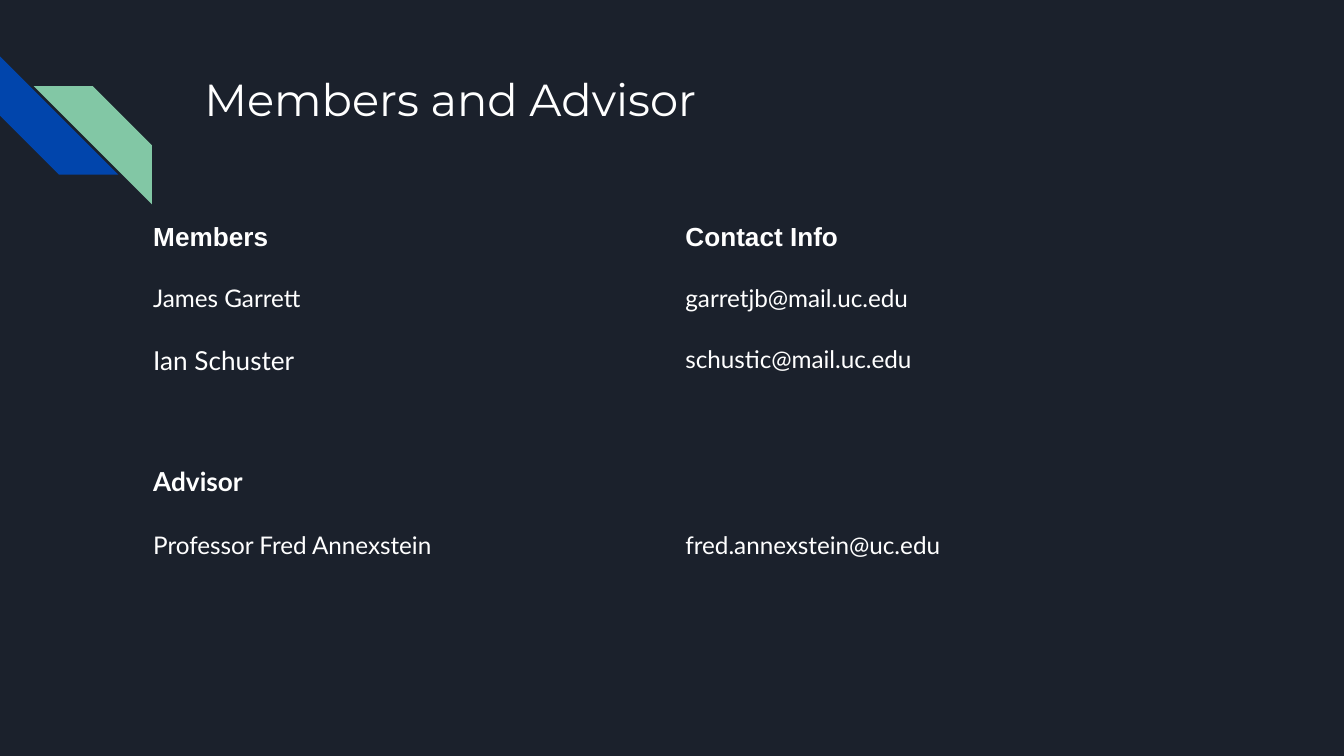
"""Build the members and advisor slide."""
from dataclasses import dataclass
from typing import Any

from pptx import Presentation
from pptx.dml.color import RGBColor
from pptx.enum.shapes import MSO_SHAPE
from pptx.enum.text import MSO_ANCHOR, MSO_AUTO_SIZE, PP_ALIGN
from pptx.oxml.ns import qn
from pptx.slide import Slide
from pptx.util import Inches, Pt


@dataclass(frozen=True)
class Theme:
    """Colours, fonts and type sizes of the slide."""

    background: RGBColor = RGBColor.from_string("1B212C")
    blue: RGBColor = RGBColor.from_string("0145AC")
    green: RGBColor = RGBColor.from_string("82C7A5")
    text: RGBColor = RGBColor.from_string("FFFFFF")
    title_font: str = "Montserrat"
    heading_font: str = "Arial"
    body_font: str = "Lato"
    title_size: Pt = Pt(24)
    large_size: Pt = Pt(14)
    body_size: Pt = Pt(13)


THEME = Theme()


@dataclass(frozen=True)
class Stripe:
    """A diagonal corner stripe."""

    left: float
    top: float
    rotation: int
    color: RGBColor


@dataclass(frozen=True)
class Entry:
    """The text of one table cell."""

    text: str
    size: Pt = THEME.body_size
    font: str = THEME.body_font
    bold: bool = False
    spaced: bool = False


@dataclass(frozen=True)
class Row:
    """One table row with its height in inches."""

    height: float
    entries: tuple[Entry | None, Entry | None]


SLIDE_WIDTH = Inches(10)
SLIDE_HEIGHT = SLIDE_WIDTH * 9 // 16
STRIPE_SIZE = 0.88
COLUMN_WIDTH = 3.96
NO_GRID_STYLE = "{2D5ABB26-0587-4C30-8999-92F81FD0307C}"

STRIPES = (
    Stripe(0, 0.42, 270, THEME.blue),
    Stripe(0.25, 0.64, 90, THEME.green),
)

ROWS = (
    Row(0.42, (
        Entry("Members", THEME.large_size, THEME.heading_font, bold=True),
        Entry("Contact Info", THEME.large_size, THEME.heading_font, bold=True),
    )),
    Row(0.45, (
        Entry("James Garrett", spaced=True),
        Entry("garretjb@mail.uc.edu", spaced=True),
    )),
    Row(0.47, (
        Entry("Ian Schuster", THEME.large_size, spaced=True),
        Entry("schustic@mail.uc.edu", spaced=True),
    )),
    Row(0.47, (None, None)),
    Row(0.48, (Entry("Advisor", THEME.large_size, bold=True), None)),
    Row(0.42, (Entry("Professor Fred Annexstein"), Entry("fred.annexstein@uc.edu"))),
)


def apply_format(target: Any, values: dict[str, Any]) -> None:
    """Set each named attribute on the target."""
    for name, value in values.items():
        setattr(target, name, value)


def apply_font(font: Any, name: str, size: Pt, bold: bool = False) -> None:
    """Format a font in the theme's text colour."""
    apply_format(font, {"name": name, "size": size, "bold": bold})
    font.color.rgb = THEME.text


def draw_stripe(slide: Slide, stripe: Stripe) -> None:
    """Draw one corner stripe."""
    shape = slide.shapes.add_shape(
        MSO_SHAPE.DIAGONAL_STRIPE, Inches(stripe.left), Inches(stripe.top),
        Inches(STRIPE_SIZE), Inches(STRIPE_SIZE),
    )
    shape.rotation = stripe.rotation
    shape.shadow.inherit = False
    shape.fill.solid()
    shape.fill.fore_color.rgb = stripe.color
    shape.line.fill.background()


def draw_title(slide: Slide, text: str) -> None:
    """Place and format the title placeholder."""
    title = slide.shapes.title
    apply_format(title, {
        "left": Inches(1.42), "top": Inches(0.43),
        "width": Inches(7.7), "height": Inches(1),
    })
    margins = ("margin_left", "margin_top", "margin_right", "margin_bottom")
    apply_format(title.text_frame, {
        **dict.fromkeys(margins, Inches(0.1)),
        "text": text, "word_wrap": True, "auto_size": MSO_AUTO_SIZE.NONE,
        "vertical_anchor": MSO_ANCHOR.TOP,
    })
    paragraph = title.text_frame.paragraphs[0]
    paragraph.alignment = PP_ALIGN.LEFT
    apply_font(paragraph.runs[0].font, THEME.title_font, THEME.title_size)


def fill_cell(cell: Any, entry: Entry | None) -> None:
    """Write one entry, or leave the cell empty."""
    cell.fill.background()
    vertical = Inches(0.1) if entry else 0
    apply_format(cell, {
        "margin_left": Inches(0.1), "margin_right": Inches(0.1),
        "margin_top": vertical, "margin_bottom": vertical,
    })
    if entry is None:
        return
    paragraph = cell.text_frame.paragraphs[0]
    if entry.spaced:
        apply_format(paragraph, {"line_spacing": 1.15, "space_after": Pt(12)})
    run = paragraph.add_run()
    run.text = entry.text
    apply_font(run.font, entry.font, entry.size, entry.bold)


def draw_contacts(slide: Slide, rows: tuple[Row, ...]) -> None:
    """Draw the contact table without grid lines."""
    frame = slide.shapes.add_table(
        len(rows), 2, Inches(1.04), Inches(1.56),
        Inches(2 * COLUMN_WIDTH), Inches(sum(row.height for row in rows)),
    )
    table = frame.table
    apply_format(table, {"first_row": False, "horz_banding": False})
    frame._element.find(".//" + qn("a:tableStyleId")).text = NO_GRID_STYLE
    for column in table.columns:
        column.width = Inches(COLUMN_WIDTH)
    for row_index, row in enumerate(rows):
        table.rows[row_index].height = Inches(row.height)
        for column_index, entry in enumerate(row.entries):
            fill_cell(table.cell(row_index, column_index), entry)


def main() -> None:
    """Build and save the presentation."""
    presentation = Presentation()
    apply_format(presentation, {"slide_width": SLIDE_WIDTH, "slide_height": SLIDE_HEIGHT})
    slide = presentation.slides.add_slide(presentation.slide_layouts.get_by_name("Title Only"))
    slide.background.fill.solid()
    slide.background.fill.fore_color.rgb = THEME.background
    for stripe in STRIPES:
        draw_stripe(slide, stripe)
    draw_title(slide, "Members and Advisor")
    draw_contacts(slide, ROWS)
    presentation.save("out.pptx")


if __name__ == "__main__":
    main()
